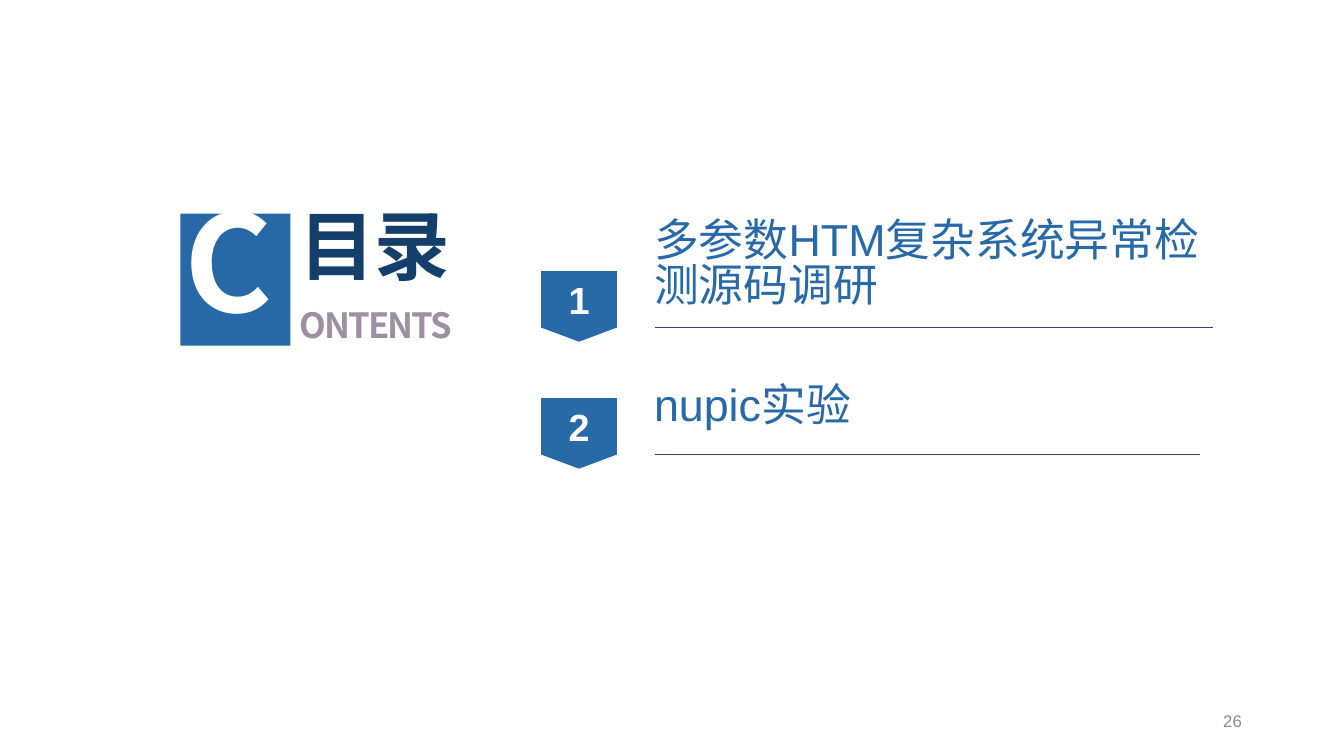
import pptx
import pptx.util
import pptx.dml.color
import pptx.enum.shapes
import pptx.enum.text
from lxml import etree
from pptx.oxml.ns import qn

Pt = pptx.util.Pt
RGB = pptx.dml.color.RGBColor
SHAPE = pptx.enum.shapes.MSO_SHAPE
ALIGN = pptx.enum.text.PP_ALIGN
ANCHOR = pptx.enum.text.MSO_ANCHOR

BLUE = RGB(0x28, 0x69, 0xA7)
TILE_BLUE = RGB(0x27, 0x68, 0xA6)
NAVY = RGB(0x14, 0x3F, 0x6A)
MAUVE = RGB(0x9D, 0x90, 0xA0)
RULE = RGB(0x31, 0x43, 0x71)
GREY = RGB(0x8C, 0x8C, 0x8C)
WHITE = RGB(0xFF, 0xFF, 0xFF)
CJK = "Noto Sans CJK SC"

# number, title, title top, title height, rule end
ITEMS = [
    ("1", "多参数HTM复杂系统异常检测源码调研", 151.2, 85, 866.2),
    ("2", "nupic实验", 269.3, 46, 857.5),
]
BADGE_LEFT, BADGE_TOP, BADGE_W, BADGE_H = 386.6, 193.7, 54, 50.4
BADGE_STEP = 90.7
RULE_LEFT, RULE_DROP = 468, 40.3
TITLE_LEFT, TITLE_W = 460.1, 434.2

# text, box, insets (left/right, top), alignment, letter spacing, font
LOGOTYPE_BACK = [
    ("ONTENTS", (205.2, 216.7, 162, 38.9), (8.64, 4.32), ALIGN.LEFT, -140,
     {"size": Pt(24.8), "bold": True, "name": CJK}, MAUVE),
    ("目录", (205.2, 146.9, 125.3, 72.7), (7.2, 3.6), ALIGN.CENTER, 0,
     {"size": Pt(54), "bold": True, "name": CJK}, NAVY),
]
INITIAL = ("C", (123.1, 138.2, 162, 124.6), (8.64, 4.32), ALIGN.LEFT, -140,
           {"size": Pt(96), "bold": True, "name": CJK}, WHITE)
TILE = (128.9, 152.6, 78.5, 94.3)
PAGE = ("26", (678.2, 500.4, 216, 28.8), (7.2, 3.6), ALIGN.RIGHT, 0,
        {"size": Pt(12), "name": "Arial"}, GREY)

prs = pptx.Presentation()
prs.slide_width, prs.slide_height = Pt(960), Pt(540)
s = prs.slides.add_slide(prs.slide_layouts[6])


def write(sp, text, align, font, color, tracking=0, spacing=None):
    p = sp.text_frame.paragraphs[0]
    p.alignment = align
    p.line_spacing = spacing
    r = p.add_run()
    r.text = text
    for key, value in font.items():
        setattr(r.font, key, value)
    r.font.color.rgb = color
    rpr = r.font._element
    etree.SubElement(rpr, qn("a:ea")).set("typeface", CJK)
    if tracking:
        rpr.set("spc", str(tracking))


def add_text(text, box, insets, align, tracking, font, color,
             spacing=None, anchor=ANCHOR.TOP):
    sp = s.shapes.add_textbox(*map(Pt, box))
    side, top = map(Pt, insets)
    frame = {"word_wrap": True, "vertical_anchor": anchor, "margin_left": side,
             "margin_right": side, "margin_top": top}
    for key, value in frame.items():
        setattr(sp.text_frame, key, value)
    write(sp, text, align, font, color, tracking, spacing)


def add_solid(kind, box, color):
    sp = s.shapes.add_shape(kind, *map(Pt, box))
    sp.shadow.inherit = False
    sp.fill.solid()
    sp.fill.fore_color.rgb = color
    sp.line.fill.background()
    return sp


def add_rule(x1, x2, y):
    line = s.shapes.add_connector(pptx.enum.shapes.MSO_CONNECTOR.STRAIGHT,
                                  Pt(x1), Pt(y), Pt(x2), Pt(y))
    line.line.color.rgb = RULE
    line.line.width = Pt(1)
    etree.SubElement(line._element.spPr, qn("a:effectLst"))


for label in LOGOTYPE_BACK:
    add_text(*label, spacing=0.88)
add_solid(SHAPE.RECTANGLE, TILE, TILE_BLUE)
add_text(*INITIAL, spacing=0.88)
add_text(*PAGE, anchor=ANCHOR.MIDDLE)

for i, (number, title, top, height, rule_end) in enumerate(ITEMS):
    y = BADGE_TOP + i * BADGE_STEP
    badge = add_solid(SHAPE.FLOWCHART_OFFPAGE_CONNECTOR,
                      (BADGE_LEFT, y, BADGE_W, BADGE_H), BLUE)
    badge.text_frame.vertical_anchor = ANCHOR.MIDDLE
    write(badge, number, ALIGN.CENTER,
          {"size": Pt(27), "bold": True, "name": "Arial"}, WHITE)
    add_rule(RULE_LEFT, rule_end, y + RULE_DROP)
    add_text(title, (TITLE_LEFT, top, TITLE_W, height), (7.2, 6.2), ALIGN.LEFT, 0,
             {"size": Pt(32), "name": "Arial"}, BLUE, spacing=0.84)

prs.save("out.pptx")
